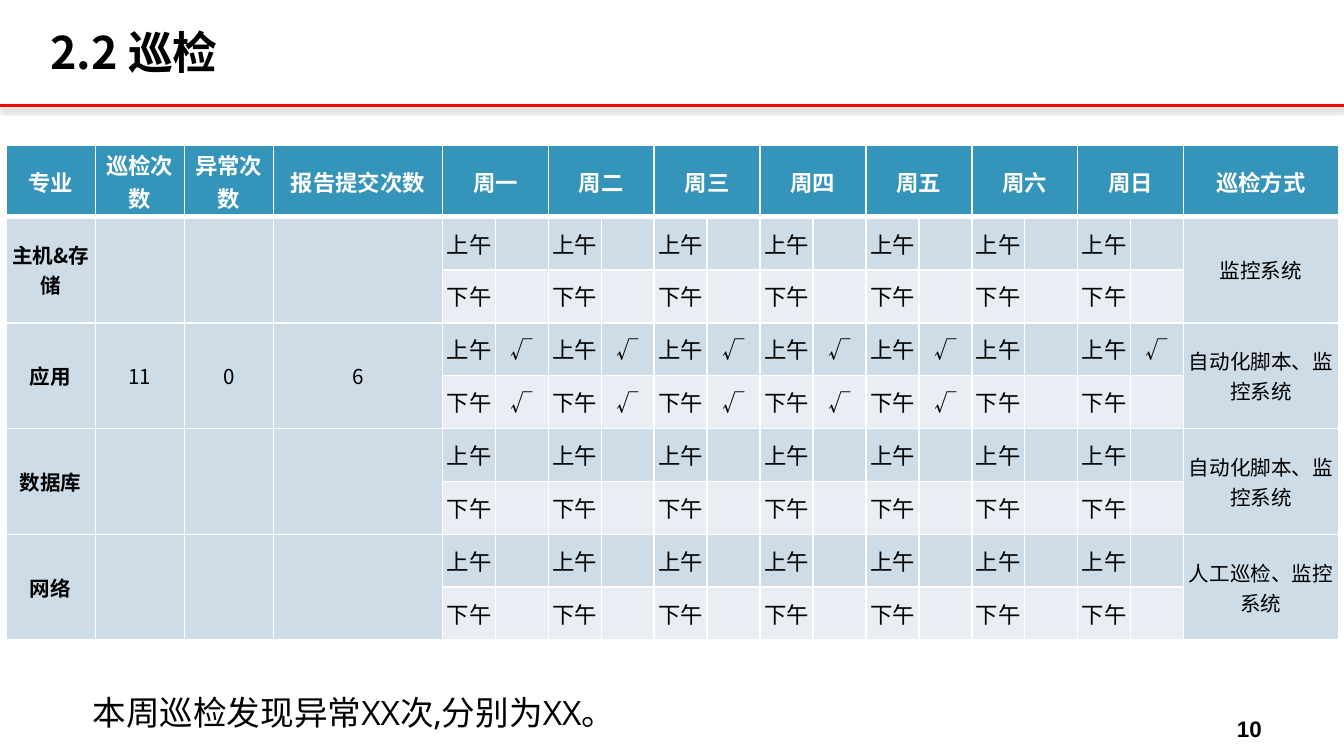
from lxml import etree
from pptx import Presentation
from pptx.dml.color import RGBColor
from pptx.enum.shapes import MSO_CONNECTOR as Connector
from pptx.enum.text import MSO_ANCHOR as Anchor, MSO_AUTO_SIZE as AutoSize, PP_ALIGN as Align
from pptx.oxml import parse_xml
from pptx.oxml.ns import nsdecls, qn
from pptx.util import Pt

COLORS = {"ink": "000000", "white": "FFFFFF", "rule": "FF0000",
          "header": "3494BA", "morning": "CEDCE7", "afternoon": "E8EEF3"}
CJK, LATIN, NUMERIC = "Noto Sans CJK SC", "Open Sans", "Arial"

LEAD_HEADS = ["专业", "巡检次数", "异常次数", "报告提交次数"]
DAYS = ["周一", "周二", "周三", "周四", "周五", "周六", "周日"]
HALVES = ["上午", "下午"]
FIRST_DAY, METHOD = len(LEAD_HEADS), len(LEAD_HEADS) + 2 * len(DAYS)
# Name, three counts, days ticked in the morning and afternoon, method
TEAMS = [
    ("主机&存储", ["", "", ""], [[], []], "监控系统"),
    ("应用", ["11", "0", "6"], [[0, 1, 2, 3, 4, 6], [0, 1, 2, 3, 4]], "自动化脚本、监控系统"),
    ("数据库", ["", "", ""], [[], []], "自动化脚本、监控系统"),
    ("网络", ["", "", ""], [[], []], "人工巡检、监控系统"),
]
LEAD_WIDTHS, HALF_WIDTH, METHOD_WIDTH = [48, 47.7, 47.7, 90.7], 28.35, 83.2
HEADER_HEIGHT, HALF_HEIGHT = 38.2, 28.35


def add_text(paragraph, wording, size, font=CJK, color="ink", bold=False):
    run = paragraph.add_run()
    run.text = wording
    run.font.size, run.font.bold, run.font.name = Pt(size), bold, font
    run.font.color.rgb = RGBColor.from_string(COLORS[color])
    east_asian = etree.SubElement(run.font._element, qn("a:ea"))
    east_asian.set("typeface", CJK)


def add_box(slide, box, wording, size, font, bold=False, align=Align.LEFT, anchor=Anchor.TOP):
    frame = slide.shapes.add_textbox(*map(Pt, box)).text_frame
    frame.word_wrap, frame.vertical_anchor = True, anchor
    frame.paragraphs[0].alignment = align
    add_text(frame.paragraphs[0], wording, size, font, bold=bold)
    return frame


def add_heading(slide, left, top, width, height):
    # Red rule with a soft shadow
    rule = slide.shapes.add_connector(Connector.STRAIGHT, Pt(left), Pt(top + height),
                                      Pt(left + width), Pt(top + height))
    rule.line.color.rgb = RGBColor.from_string(COLORS["rule"])
    rule.line.width = Pt(1.5)
    rule._element.spPr.append(parse_xml(
        f'<a:effectLst {nsdecls("a")}><a:outerShdw blurRad="{Pt(3.1)}" dist="{Pt(1.6)}" '
        f'dir="5400000" rotWithShape="0"><a:srgbClr val="{COLORS["ink"]}">'
        '<a:alpha val="38000"/></a:srgbClr></a:outerShdw></a:effectLst>'))
    # Title with a hanging indent
    title = add_box(slide, (left + 20, top + 8.6, 563.8, 38.2), "2.2 巡检", 24, CJK,
                    bold=True, anchor=Anchor.MIDDLE)
    indent = title.paragraphs[0]._p.get_or_add_pPr()
    indent.set("marL", str(Pt(28.8)))
    indent.set("indent", str(-Pt(28.8)))


def style_cell(cell, fill, bottom=1):
    cell.fill.solid()
    cell.fill.fore_color.rgb = RGBColor.from_string(COLORS[fill])
    cell.margin_left = cell.margin_right = cell.margin_top = cell.margin_bottom = 0
    cell.vertical_anchor = Anchor.MIDDLE
    cell.text_frame.paragraphs[0].alignment = Align.CENTER
    properties = cell._tc.get_or_add_tcPr()
    for place, (side, width) in enumerate(zip("LRTB", (1, 1, 1, bottom))):
        properties.insert(place, parse_xml(
            f'<a:ln{side} {nsdecls("a")} w="{Pt(width)}"><a:solidFill>'
            f'<a:srgbClr val="{COLORS["white"]}"/></a:solidFill></a:ln{side}>'))


def add_inspection_table(slide, left, top):
    widths = LEAD_WIDTHS + [HALF_WIDTH] * (2 * len(DAYS)) + [METHOD_WIDTH]
    heights = [HEADER_HEIGHT] + [HALF_HEIGHT] * (2 * len(TEAMS))
    table = slide.shapes.add_table(len(heights), len(widths), Pt(left), Pt(top),
                                   Pt(sum(widths)), Pt(sum(heights))).table
    for column, width in zip(table.columns, widths):
        column.width = Pt(width)
    for row, height in zip(table.rows, heights):
        row.height = Pt(height)

    def put(row, column, wording, size, **style):
        if wording:
            add_text(table.cell(row, column).text_frame.paragraphs[0], wording, size, **style)

    # Fills and borders
    for row in range(len(heights)):
        for column in range(len(widths)):
            if row == 0:
                style_cell(table.cell(row, column), "header", bottom=3)
            else:
                halved = FIRST_DAY <= column < METHOD
                fill = "afternoon" if halved and row % 2 == 0 else "morning"
                style_cell(table.cell(row, column), fill)

    # Header row
    day_columns = [FIRST_DAY + 2 * day for day in range(len(DAYS))]
    for column in day_columns:
        table.cell(0, column).merge(table.cell(0, column + 1))
    head_columns = [*range(FIRST_DAY), *day_columns, METHOD]
    for column, head in zip(head_columns, LEAD_HEADS + DAYS + ["巡检方式"]):
        put(0, column, head, 12, font=LATIN, color="white", bold=True)

    # Two rows for each team
    for index, (name, counts, ticks, method) in enumerate(TEAMS):
        first = 1 + 2 * index
        for column, wording in zip([*range(FIRST_DAY), METHOD], [name, *counts, method]):
            table.cell(first, column).merge(table.cell(first + 1, column))
            put(first, column, wording, 11, bold=column == 0)
        for half, ticked_days in enumerate(ticks):
            for day, column in enumerate(day_columns):
                put(first + half, column, HALVES[half], 12)
                put(first + half, column + 1, "√" if day in ticked_days else "", 12)


def add_footer(slide, left, top):
    # Weekly finding and page number
    finding = add_box(slide, (left + 42.5, top, 447.8, 28.8),
                      "本周巡检发现异常XX次,分别为XX。".replace(",", ","), 18, LATIN)
    finding.auto_size = AutoSize.SHAPE_TO_FIT_TEXT
    add_box(slide, (left + 646.6, top + 12.2, 45.4, 17.3), "10", 12, NUMERIC,
            bold=True, align=Align.CENTER)


deck = Presentation()
deck.slide_width, deck.slide_height = Pt(720), Pt(405)
inspection = deck.slides.add_slide(deck.slide_layouts[6])
add_heading(inspection, 0, 0, 720, 56.4)
add_inspection_table(inspection, 3.1, 78)
add_footer(inspection, 0, 367.2)
deck.save("out.pptx")
